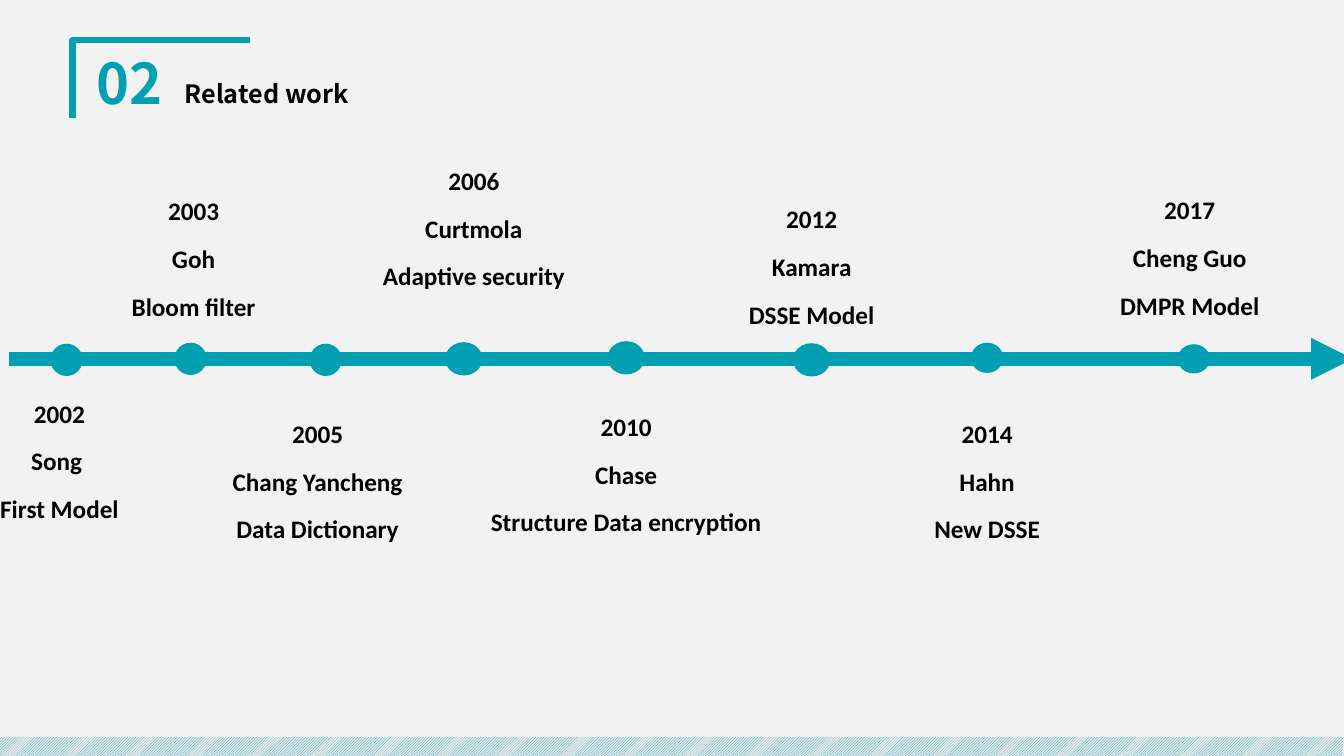
from lxml import etree
from pptx import Presentation
from pptx.dml.color import RGBColor
from pptx.enum.dml import MSO_PATTERN
from pptx.enum.shapes import MSO_CONNECTOR, MSO_SHAPE
from pptx.enum.text import MSO_ANCHOR, MSO_AUTO_SIZE, PP_ALIGN
from pptx.oxml.ns import qn
from pptx.util import Pt

PX = 9144  # 100 px to the inch
W, H = 1333, 750
COLORS = {"accent": "009FB1", "back": "F2F2F2", "stripe": "E9E9E9", "text": "000000"}
HEAD_FONT, BODY_FONT = "Noto Sans CJK SC", "Calibri"
CENTER, LEFT = PP_ALIGN.CENTER, PP_ALIGN.LEFT
MIDDLE = MSO_ANCHOR.MIDDLE
NO_FIT, GROW = MSO_AUTO_SIZE.NONE, MSO_AUTO_SIZE.SHAPE_TO_FIT_TEXT
OVAL, RECT = MSO_SHAPE.OVAL, MSO_SHAPE.RECTANGLE
STRAIGHT = MSO_CONNECTOR.STRAIGHT
DIAGONAL = MSO_PATTERN.LIGHT_UPWARD_DIAGONAL

CAPTION_H = 142
# dot (centre x, offset from axis, width, height),
# caption (centre x, top from axis, width), lines
MILESTONES = [
    ((66, 1, 32, 32), (59, 25, 150), ("2002", "Song ", "First Model")),
    ((189, 0, 32, 32), (192, -176, 155), ("2003", "Goh", "Bloom filter")),
    ((323, 1, 32, 32), (315, 45, 213), ("2005", "Chang Yancheng", "Data Dictionary")),
    ((460, 0, 37, 33), (470, -206, 207), ("2006", "Curtmola", "Adaptive security")),
    ((621, -1, 37, 33), (621, 38, 302), ("2010", "Chase", "Structure Data encryption")),
    ((805, 1, 37, 33), (805, -168, 171), ("2012", "Kamara", "DSSE Model")),
    ((979, -1, 32, 30), (979, 45, 158), ("2014", "Hahn", "New DSSE")),
    ((1184, 0, 32, 29), (1180, -177, 207), ("2017", "Cheng Guo", "DMPR Model")),
]


def rgb(name):
    return RGBColor.from_string(COLORS[name])


def px(*lengths):
    return [round(n * PX) for n in lengths]


def set_all(obj, values):
    for name, value in values.items():
        setattr(obj, name, value)


def write(tf, lines, font, para):
    """Fill a text frame with one formatted paragraph per line."""
    for i, line in enumerate(lines):
        p = tf.paragraphs[0] if i == 0 else tf.add_paragraph()
        set_all(p, para)
        r = p.add_run()
        r.text = line
        color = font["color"]
        set_all(r.font, {k: v for k, v in font.items() if k != "color"})
        r.font.color.rgb = rgb(color)


def fill_placeholder(sp, box, text, size, color, align):
    set_all(sp, dict(zip(("left", "top", "width", "height"), px(*box))))
    set_all(sp.text_frame, {"vertical_anchor": MIDDLE, "auto_size": NO_FIT,
                            "word_wrap": True})
    write(sp.text_frame, [text],
          {"size": Pt(size), "name": HEAD_FONT, "bold": True, "color": color},
          {"alignment": align, "line_spacing": 0.9, "space_before": Pt(10)})
    pPr = sp.text_frame.paragraphs[0]._p.get_or_add_pPr()
    pPr.set("marL", "0")
    pPr.set("indent", "0")
    etree.SubElement(pPr, qn("a:buNone"))


def add_header(s, x, y, w, h):
    """Corner bracket with the section number and title inside it."""
    outline = s.shapes.build_freeform(x, y + h, scale=PX)
    outline.add_line_segments([(x, y), (x + w, y)], close=False)
    bracket = outline.convert_to_shape()
    bracket.shadow.inherit = False
    bracket.fill.background()
    bracket.line.color.rgb = rgb("accent")
    bracket.line.width = Pt(4.5)
    fill_placeholder(s.placeholders[1], (x + 10, y + 9, 93, 73),
                     "02", 40, "accent", CENTER)
    fill_placeholder(s.shapes.title, (x + 101, y + 33, 267, 44),
                     "Related work", 18, "text", LEFT)


def add_footer(s, x, y, w, h):
    band = s.shapes.add_shape(RECT, *px(x, y, w, h))
    band.shadow.inherit = False
    band.line.fill.background()
    band.fill.patterned()
    band.fill.pattern = DIAGONAL
    band.fill.fore_color.rgb = rgb("accent")
    band.fill.back_color.rgb = rgb("stripe")


def add_axis(s, x, y, w):
    axis = s.shapes.add_connector(STRAIGHT, *px(x, y, x + w, y))
    axis.line.color.rgb = rgb("accent")
    axis.line.width = Pt(10)
    etree.SubElement(axis.line._get_or_add_ln(), qn("a:tailEnd"), type="triangle")
    etree.SubElement(axis._element.spPr, qn("a:effectLst"))


def add_milestone(s, axis_y, dot, caption, lines):
    cx, dy, w, h = dot
    sp = s.shapes.add_shape(OVAL, *px(cx - w / 2, axis_y + dy - h / 2, w, h))
    sp.shadow.inherit = False
    sp.fill.solid()
    sp.fill.fore_color.rgb = rgb("accent")
    sp.line.fill.background()

    cx, dy, w = caption
    tf = s.shapes.add_textbox(*px(cx - w / 2, axis_y + dy, w, CAPTION_H)).text_frame
    set_all(tf, {"word_wrap": True, "auto_size": GROW})
    write(tf, lines,
          {"size": Pt(18), "name": BODY_FONT, "bold": True, "color": "text"},
          {"alignment": CENTER, "line_spacing": 1.3, "space_before": Pt(6)})


def add_timeline(s, x, y, w):
    add_axis(s, x, y, w)
    for dot, caption, lines in MILESTONES:
        add_milestone(s, y, dot, caption, lines)


def main():
    prs = Presentation()
    prs.slide_width, prs.slide_height = px(W, H)
    s = prs.slides.add_slide(prs.slide_layouts[1])
    s.background.fill.solid()
    s.background.fill.fore_color.rgb = rgb("back")
    add_footer(s, -3, 731, 1335, 22)
    add_header(s, 72, 40, 176, 77)
    add_timeline(s, 9, 356, 1333)
    prs.save("out.pptx")


if __name__ == "__main__":
    main()
